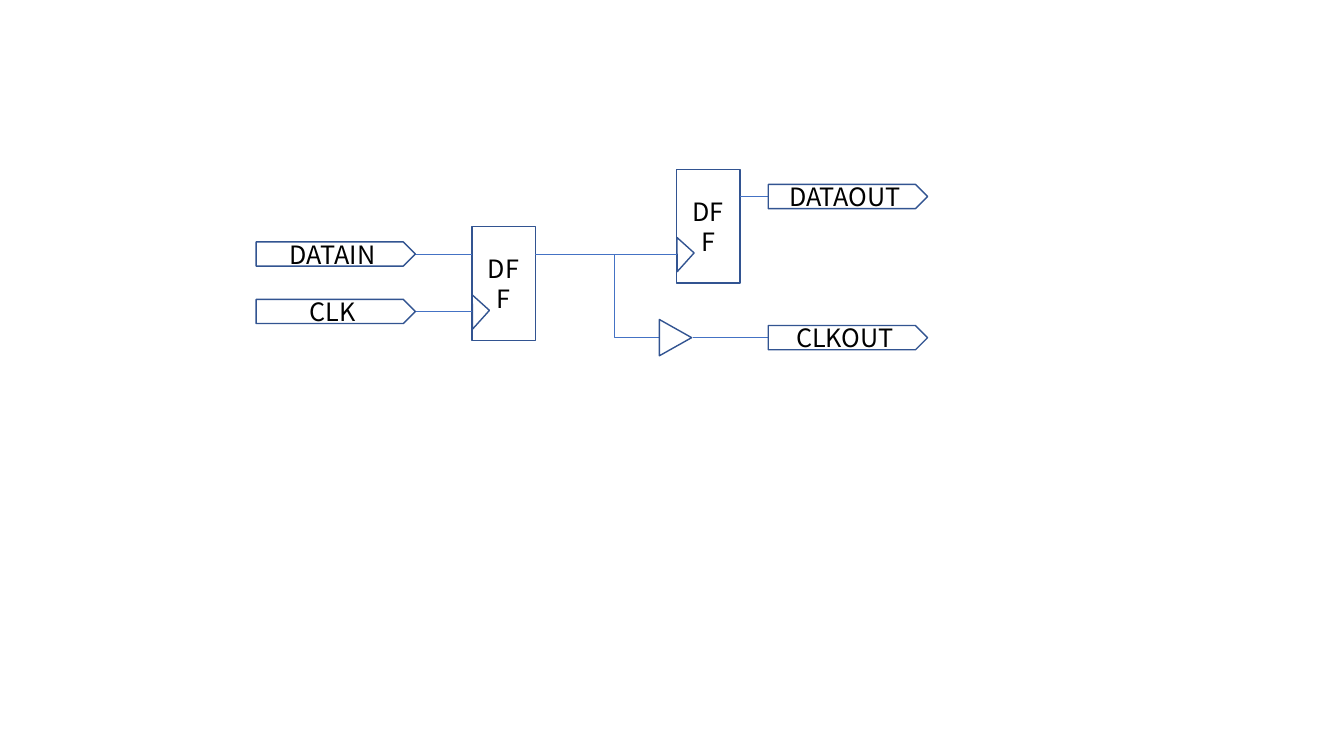
from pptx import Presentation
from pptx.dml.color import RGBColor
from pptx.enum.shapes import MSO_CONNECTOR, MSO_SHAPE
from pptx.enum.text import MSO_ANCHOR, PP_ALIGN
from pptx.oxml.ns import qn
from pptx.util import Inches, Pt
from lxml import etree

RECT = MSO_SHAPE.RECTANGLE
TAG = MSO_SHAPE.PENTAGON
CLOCK = MSO_SHAPE.RIGHT_TRIANGLE
BUFFER = MSO_SHAPE.ISOSCELES_TRIANGLE
LINE = MSO_CONNECTOR.STRAIGHT
ELBOW = MSO_CONNECTOR.ELBOW
CENTER = PP_ALIGN.CENTER
MIDDLE = MSO_ANCHOR.MIDDLE

FONT = "Noto Sans CJK SC"
COLORS = {"edge": "325491", "wire": "4472C4", "fill": "FFFFFF", "text": "000000"}

prs = Presentation()
prs.slide_width = Inches(13.33)
prs.slide_height = Inches(7.5)
slide = prs.slides.add_slide(prs.slide_layouts[6])


def add_part(kind, left, top, width, height, label="", turn=0, solid=False):
    part = slide.shapes.add_shape(
        kind, Inches(left), Inches(top), Inches(width), Inches(height))
    part.shadow.inherit = False
    part.rotation = turn
    if solid:
        part.fill.solid()
        part.fill.fore_color.rgb = RGBColor.from_string(COLORS["fill"])
    else:
        part.fill.background()
    part.line.color.rgb = RGBColor.from_string(COLORS["edge"])
    part.line.width = Pt(1)
    if label:
        frame = part.text_frame
        frame.text = label
        frame.word_wrap = True
        frame.vertical_anchor = MIDDLE
        para = frame.paragraphs[0]
        para.alignment = CENTER
        font = para.runs[0].font
        font.name = FONT
        font.size = Pt(18)
        font.color.rgb = RGBColor.from_string(COLORS["text"])


def add_wire(kind, x1, y1, x2, y2):
    wire = slide.shapes.add_connector(
        kind, Inches(x1), Inches(y1), Inches(x2), Inches(y2))
    wire.line.color.rgb = RGBColor.from_string(COLORS["wire"])
    wire.line.width = Pt(0.5)
    props = wire._element.spPr
    etree.SubElement(props, qn("a:effectLst"))
    if kind == ELBOW:
        props.find(qn("a:prstGeom")).set("prst", "bentConnector2")


for left, top in [(6.71, 1.68), (4.68, 2.25)]:
    add_part(RECT, left, top, 0.63, 1.13, "DFF")
    add_part(CLOCK, left - 0.11, top + 0.72, 0.23, 0.25, turn=222)

wires = [
    (LINE, 4.12, 2.52, 4.68, 2.52),
    (LINE, 4.12, 3.09, 4.68, 3.09),
    (LINE, 6.71, 2.52, 5.31, 2.52),
    (LINE, 7.34, 1.95, 7.62, 1.95),
    (LINE, 6.87, 3.35, 7.62, 3.35),
    (ELBOW, 6.54, 3.35, 6.09, 2.52),
]
for wire in wires:
    add_wire(*wire)

add_part(BUFFER, 6.52, 3.19, 0.36, 0.32, turn=90, solid=True)

tags = [
    ("DATAIN", 2.54, 2.4),
    ("CLK", 2.54, 2.97),
    ("DATAOUT", 7.62, 1.83),
    ("CLKOUT", 7.62, 3.23),
]
for label, left, top in tags:
    add_part(TAG, left, top, 1.58, 0.24, label, solid=True)

prs.save("out.pptx")
